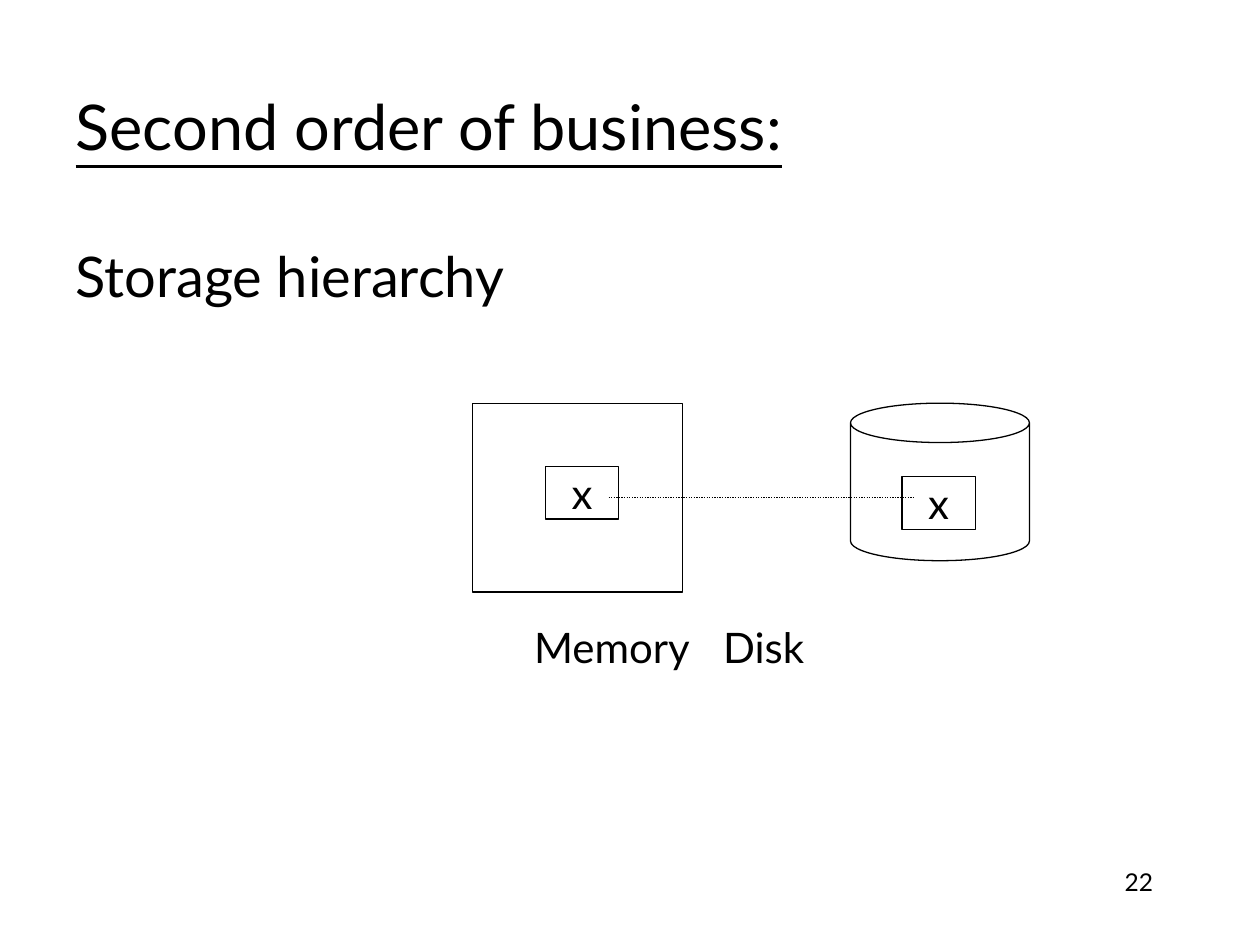
from lxml import etree
from pptx import Presentation, util as u
from pptx.dml.color import RGBColor
from pptx.enum import dml, shapes, text
from pptx.oxml.ns import qn

hues = {"ink": "000000", "paper": "FFFFFF"}
ink, paper = (RGBColor.from_string(hues[k]) for k in ("ink", "paper"))

deck = Presentation()
deck.slide_width, deck.slide_height = u.Inches(10), u.Inches(7.5)
page = deck.slides.add_slide(deck.slide_layouts[1])
items = page.shapes


def write(shape, words, size=24, align="LEFT", anchor="MIDDLE", wrap=True,
          under=False, hang=0, tab=None):
    frame = shape.text_frame
    frame.auto_size = text.MSO_AUTO_SIZE.NONE
    frame.word_wrap = wrap
    frame.vertical_anchor = text.MSO_ANCHOR[anchor]
    para = frame.paragraphs[0]
    para.alignment = text.PP_ALIGN[align]
    para.space_before = u.Pt(0)
    props = para._p.get_or_add_pPr()
    props.set("marL", str(u.Inches(hang)))
    props.set("indent", str(u.Inches(-hang)))
    etree.SubElement(props, qn("a:buNone"))
    if tab:
        stops = etree.SubElement(props, qn("a:tabLst"))
        etree.SubElement(stops, qn("a:tab"), pos=str(u.Inches(tab)), algn="l")
    run = para.add_run()
    run.text = words
    run.font.name, run.font.size = "Lato", u.Pt(size)
    run.font.underline = under
    run.font.color.rgb = ink


def draw(kind, *area):
    shape = items.add_shape(shapes.MSO_SHAPE[kind], *map(u.Inches, area))
    shape.shadow.inherit = False
    shape.fill.solid()
    shape.fill.fore_color.rgb = paper
    shape.line.color.rgb = ink
    shape.line.width = u.Pt(0.75)
    return shape


# Title and body
left, wide = u.Inches(0.5), u.Inches(8.5)
title, body = items.title, page.placeholders[1]
for holder, top, high in ((title, 0.37, 1.25), (body, 1.87, 4.5)):
    holder.left, holder.top = left, u.Inches(top)
    holder.width, holder.height = wide, u.Inches(high)
write(title, "Second order of business:", size=36, under=True)
write(body, "Storage hierarchy", size=32, anchor="TOP", hang=0.38)

# Memory and disk, with a shared caption line
draw("RECTANGLE", 3.75, 3.2, 1.67, 1.5)
draw("CAN", 6.75, 3.2, 1.42, 1.25)
label = items.add_textbox(*map(u.Inches, (4.14, 4.88, 3.74, 0.5)))
write(label, "Memory\tDisk", tab=2.77)

# The item x in each store
for x, y in ((4.33, 3.7), (7.16, 3.78)):
    write(draw("RECTANGLE", x, y, 0.58, 0.42), "x", align="CENTER", wrap=False)

# Dotted link between the two items
link = items.add_connector(shapes.MSO_CONNECTOR.STRAIGHT,
                           *map(u.Inches, (4.83, 3.95, 7.25, 3.95)))
link.line.color.rgb = ink
link.line.width = u.Pt(0.75)
link.line.dash_style = dml.MSO_LINE.ROUND_DOT
etree.SubElement(link._element.spPr, qn("a:effectLst"))

# Page number
number = items.add_textbox(*map(u.Inches, (7.17, 6.83, 2.08, 0.5)))
write(number, "22", size=14, align="RIGHT", anchor="TOP")

deck.save("out.pptx")
